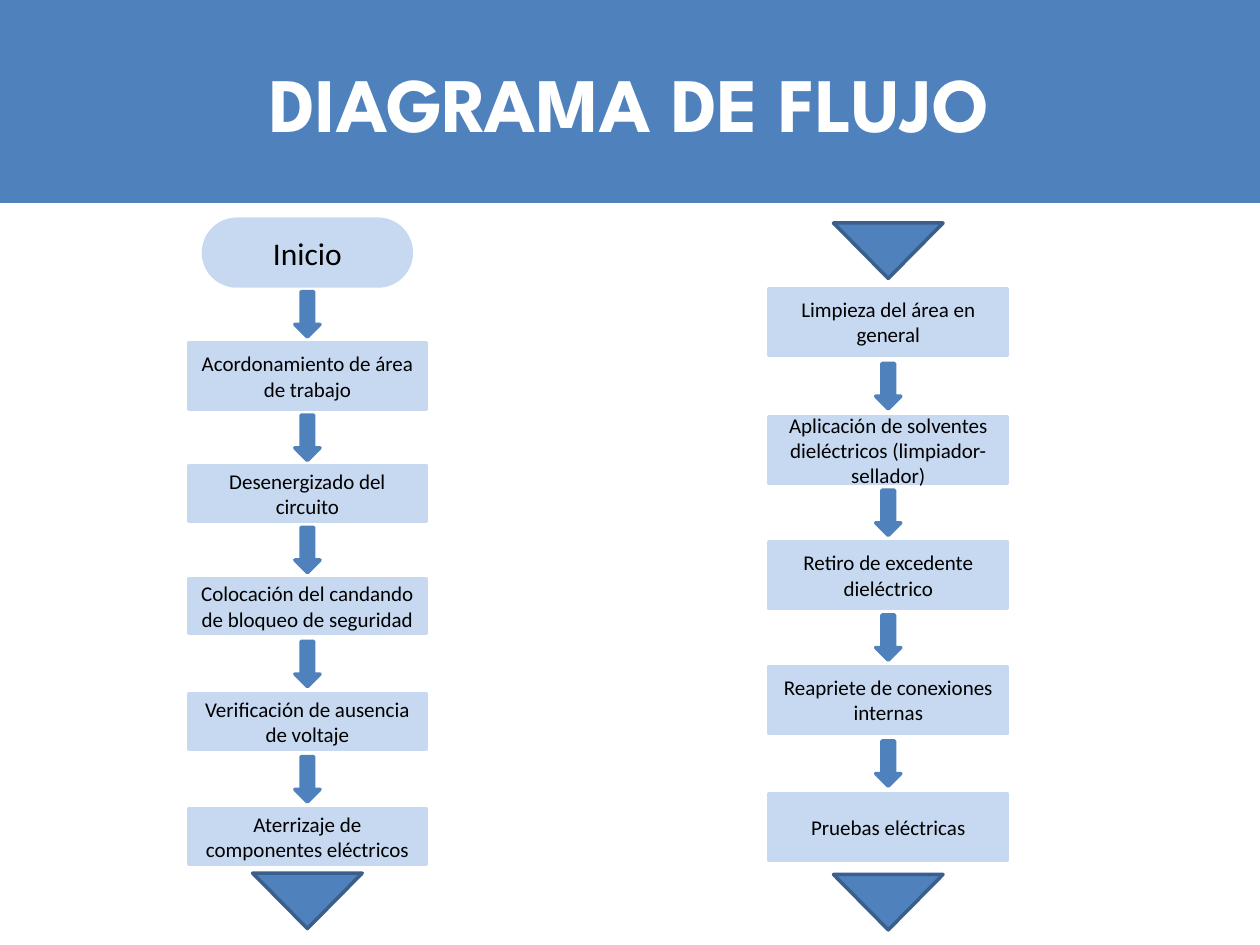
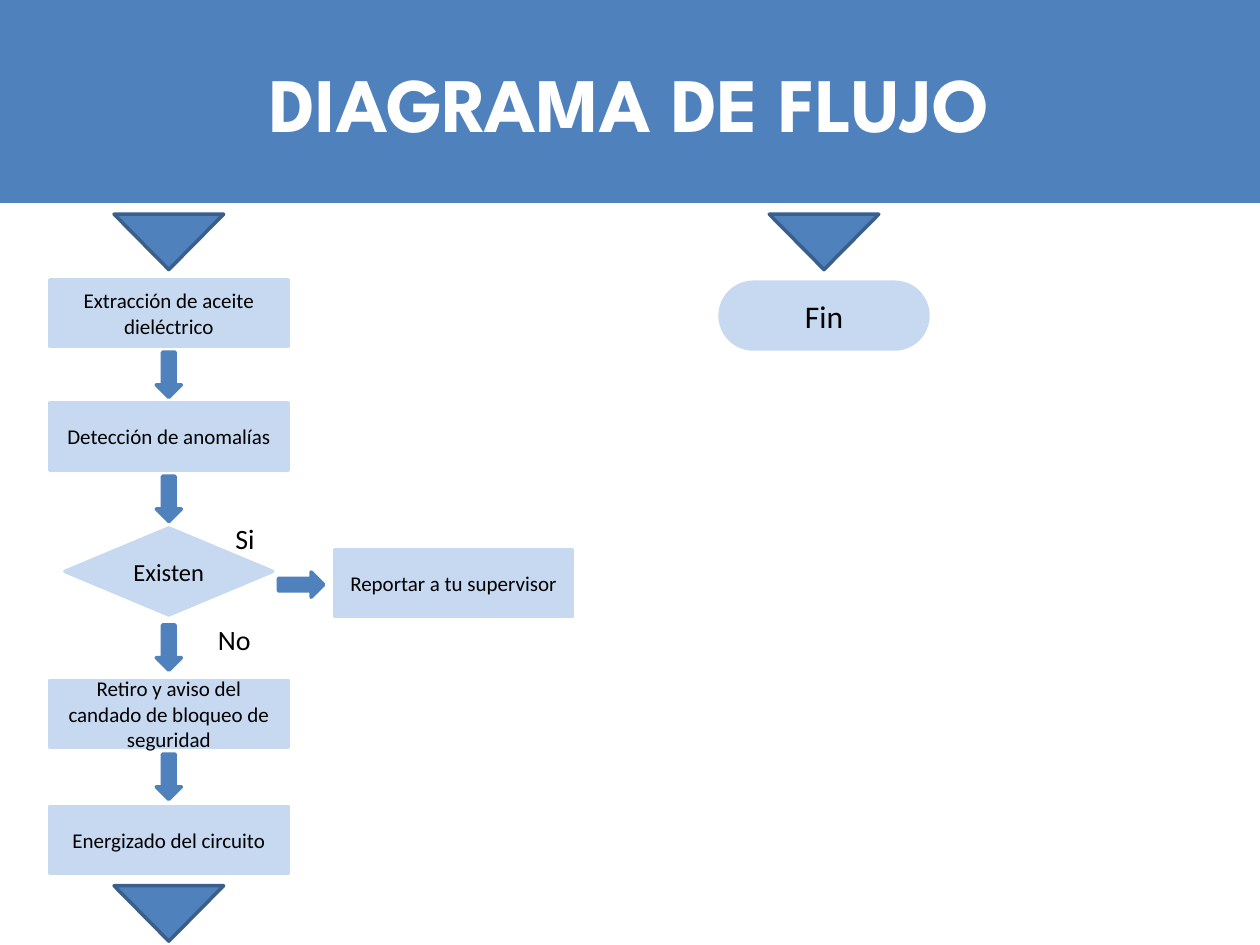
from itertools import pairwise

from pptx import Presentation
from pptx.dml.color import RGBColor
from pptx.enum.shapes import MSO_SHAPE
from pptx.enum.text import MSO_ANCHOR, MSO_AUTO_SIZE, PP_ALIGN
from pptx.util import Inches, Pt

COLORS = {
    "band": "4F81BD",
    "step": "C6D9F1",
    "connector_edge": "3A5F8C",
    "text": "000000",
    "title": "FFFFFF",
}
BODY_FONT = "Calibri"
TITLE_FONT = "League Spartan"

STEP_WIDTH, STEP_HEIGHT, LOW_STEP_HEIGHT = 1.89, 0.53, 0.44
TERMINAL_WIDTH = 1.65
DECISION_HEIGHT = 0.69
MERGE_WIDTH, MERGE_HEIGHT = 0.87, 0.44
ARROW_WIDTH, ARROW_LENGTH = 0.2, 0.36


def color(name):
    return RGBColor.from_string(COLORS[name])


def format_text(frame, text, size, align, font=BODY_FONT, text_color="text", bold=False):
    frame.word_wrap = True
    frame.text = text
    paragraph = frame.paragraphs[0]
    paragraph.alignment = align
    for run in paragraph.runs:
        run.font.name = font
        run.font.size = Pt(size)
        run.font.bold = bold
        run.font.color.rgb = color(text_color)


def add_titled_slide(prs, title_text):
    slide = prs.slides.add_slide(prs.slide_layouts[5])
    title = slide.shapes.title
    title.left, title.top = Inches(0), Inches(0)
    title.width, title.height = prs.slide_width, Inches(1.61)
    title.fill.solid()
    title.fill.fore_color.rgb = color("band")
    frame = title.text_frame
    format_text(frame, title_text, 44, PP_ALIGN.CENTER, TITLE_FONT, "title", True)
    frame.auto_size = MSO_AUTO_SIZE.NONE
    frame.vertical_anchor = MSO_ANCHOR.MIDDLE
    return slide


def add_symbol(slide, kind, center, top, width, height, fill, edge=None):
    """Add a flowchart symbol centred horizontally on center."""
    symbol = slide.shapes.add_shape(
        kind, Inches(center - width / 2), Inches(top), Inches(width), Inches(height))
    symbol.shadow.inherit = False
    symbol.fill.solid()
    symbol.fill.fore_color.rgb = color(fill)
    symbol.line.color.rgb = color(edge or fill)
    symbol.line.width = Pt(2)
    return symbol


def add_text_symbol(slide, kind, text, center, top, width, height, size):
    symbol = add_symbol(slide, kind, center, top, width, height, "step")
    symbol.text_frame.vertical_anchor = MSO_ANCHOR.MIDDLE
    format_text(symbol.text_frame, text, size, PP_ALIGN.CENTER)


def add_step(slide, text, center, top, height=STEP_HEIGHT):
    add_text_symbol(slide, MSO_SHAPE.RECTANGLE, text, center, top, STEP_WIDTH, height, 12)
    return top, top + height


def add_terminal(slide, text, center, top):
    add_text_symbol(slide, MSO_SHAPE.FLOWCHART_TERMINATOR, text, center, top,
                    TERMINAL_WIDTH, STEP_HEIGHT, 18)
    return top, top + STEP_HEIGHT


def add_decision(slide, text, center, top):
    add_text_symbol(slide, MSO_SHAPE.FLOWCHART_DECISION, text, center, top,
                    TERMINAL_WIDTH, DECISION_HEIGHT, 14)
    return top, top + DECISION_HEIGHT


def add_merge(slide, center, top):
    add_symbol(slide, MSO_SHAPE.FLOWCHART_MERGE, center, top,
               MERGE_WIDTH, MERGE_HEIGHT, "band", "connector_edge")


def add_arrows_between(slide, center, spans):
    """Centre a down arrow in each gap between consecutive (top, bottom) spans."""
    for (_, bottom), (next_top, _) in pairwise(spans):
        add_symbol(slide, MSO_SHAPE.DOWN_ARROW, center,
                   (bottom + next_top - ARROW_LENGTH) / 2, ARROW_WIDTH, ARROW_LENGTH, "band")


def add_branch_label(slide, text, left, top):
    label = slide.shapes.add_textbox(Inches(left), Inches(top), Inches(0.69), Inches(0.37))
    format_text(label.text_frame, text, 16, PP_ALIGN.LEFT)


def build_preparation_slide(prs):
    slide = add_titled_slide(prs, "DIAGRAMA DE FLUJO")

    safety_center = 2.44
    safety_spans = [
        add_terminal(slide, "Inicio", safety_center, 1.74),
        add_step(slide, "Acordonamiento de área de trabajo", safety_center, 2.72),
    ]
    for text, top in [
        ("Desenergizado del circuito", 3.7),
        ("Colocación del candando de bloqueo de seguridad", 4.59),
        ("Verificación de ausencia de voltaje", 5.51),
        ("Aterrizaje de componentes eléctricos", 6.42),
    ]:
        safety_spans.append(add_step(slide, text, safety_center, top, LOW_STEP_HEIGHT))
    add_arrows_between(slide, safety_center, safety_spans)
    add_merge(slide, safety_center, 6.93)

    cleaning_center = 7.05
    add_merge(slide, cleaning_center, 1.77)
    cleaning_steps = [
        ("Limpieza del área en general", 2.29),
        ("Aplicación de solventes dieléctricos (limpiador-sellador)", 3.31),
        ("Retiro de excedente dieléctrico", 4.3),
        ("Reapriete de conexiones internas", 5.29),
        ("Pruebas eléctricas", 6.3),
    ]
    cleaning_spans = [add_step(slide, text, cleaning_center, top)
                      for text, top in cleaning_steps]
    add_arrows_between(slide, cleaning_center, cleaning_spans)
    add_merge(slide, cleaning_center, 6.94)


def build_closing_slide(prs):
    slide = add_titled_slide(prs, "DIAGRAMA DE FLUJO")

    check_center = 1.34
    add_merge(slide, check_center, 1.7)
    check_spans = [
        add_step(slide, "Extracción de aceite dieléctrico", check_center, 2.22),
        add_step(slide, "Detección de anomalías", check_center, 3.2),
        add_decision(slide, "Existen", check_center, 4.19),
        add_step(slide, "Retiro y aviso del candado de bloqueo de seguridad", check_center, 5.4),
        add_step(slide, "Energizado del circuito", check_center, 6.4),
    ]
    add_arrows_between(slide, check_center, check_spans)
    add_merge(slide, check_center, 7.03)

    add_branch_label(slide, "Si", 1.77, 4.09)
    add_branch_label(slide, "No", 1.63, 4.89)
    add_symbol(slide, MSO_SHAPE.RIGHT_ARROW, 2.39, 4.54, ARROW_LENGTH, ARROW_WIDTH, "band")
    add_step(slide, "Reportar a tu supervisor", 3.6, 4.36)

    end_center = 6.54
    add_merge(slide, end_center, 1.7)
    add_terminal(slide, "Fin", end_center, 2.24)


def main():
    prs = Presentation()
    prs.slide_width, prs.slide_height = Inches(10), Inches(7.5)
    build_preparation_slide(prs)
    build_closing_slide(prs)
    prs.save("out.pptx")


if __name__ == "__main__":
    main()
